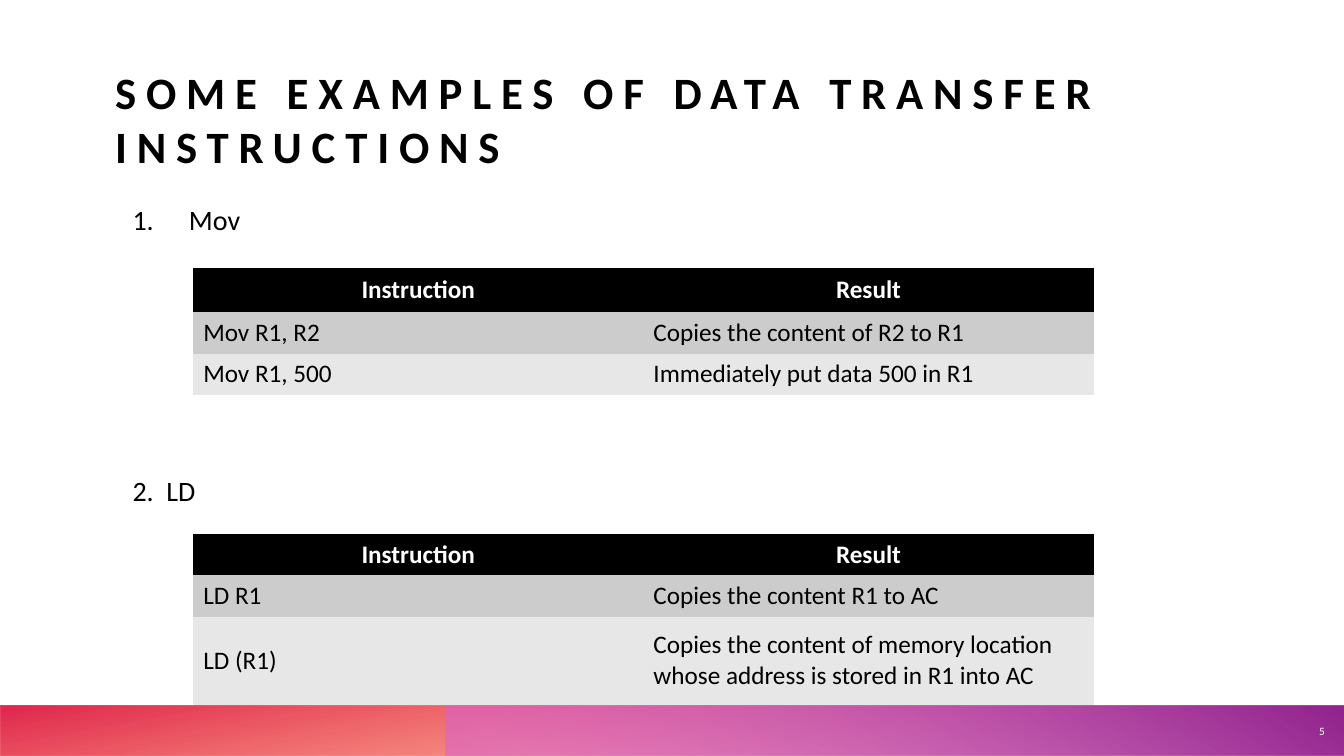
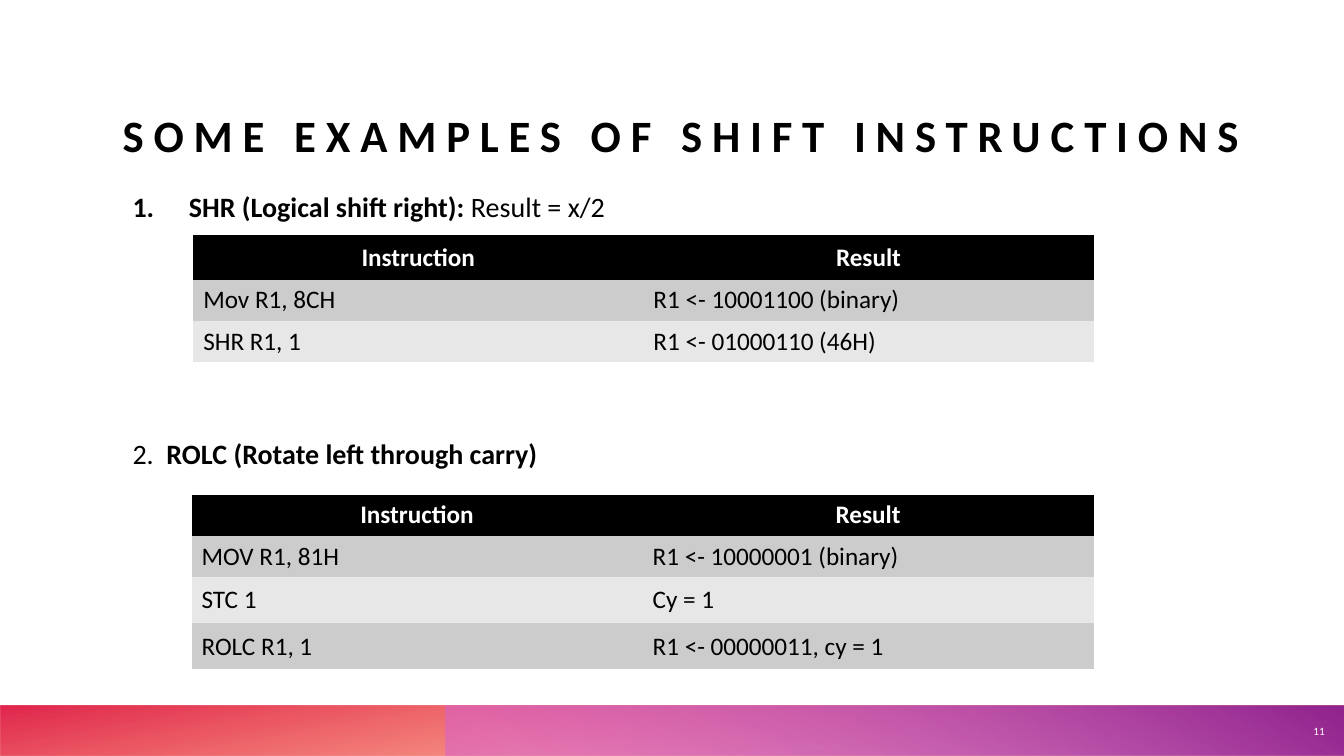
from dataclasses import dataclass

from lxml import etree
from pptx import Presentation
from pptx import util as u
from pptx.dml.color import RGBColor
from pptx.enum import shapes, text
from pptx.oxml import ns

COLUMNS, ROWS = 160, 90
MODULE = u.Inches(7.5) / ROWS
PLAIN_TABLE = "{2D5ABB26-0587-4C30-8999-92F81FD0307C}"


@dataclass(frozen=True)
class Theme:
    font: str = "Calibri"
    ink: str = "000000"
    paper: str = "FFFFFF"
    stripes: tuple = ("CCCCCC", "E7E7E7")
    title: int = 32
    heading: int = 20
    cell: int = 18
    number: int = 8
    tracking: int = 7
    red_band: tuple = ((14, "FE4A00", 28), (100, "DA002F", 85))
    violet_band: tuple = ((9, "D861D4", 55), (99, "92248E", 100))


THEME = Theme()


@dataclass(frozen=True)
class Box:
    column: float
    row: float
    columns: float
    rows: float

    def inside(self, column, row, columns, rows):
        return Box(self.column + column, self.row + row, columns, rows)

    def emu(self):
        return [round(n * MODULE) for n in (self.column, self.row, self.columns, self.rows)]


PAGE = Box(0, 0, COLUMNS, ROWS)
FOOTER = PAGE.inside(0, 84, COLUMNS, 6)


@dataclass(frozen=True)
class Section:
    box: Box
    heading: tuple
    table_offset: tuple
    table_columns: float
    row_heights: tuple
    cells: tuple
    numbered: bool = False


def add_span(para, words, size, color=THEME.ink, bold=False):
    span = para.add_run()
    span.text = words
    span.font.name = THEME.font
    span.font.size = u.Pt(size)
    span.font.bold = bold
    span.font.color.rgb = RGBColor.from_string(color)
    return span


def add_text_box(page, box):
    frame = page.shapes.add_textbox(*box.emu()).text_frame
    frame.word_wrap = True
    return frame


def add_band(page, box, stops, angle, rotation=0):
    band = page.shapes.add_shape(shapes.MSO_SHAPE.RECTANGLE, *box.emu())
    band.shadow.inherit = False
    band.line.fill.background()
    band.rotation = rotation
    band.element.spPr.find(ns.qn("a:xfrm")).set("flipH", "1")
    band.fill.gradient()
    band.fill.gradient_angle = 360 - angle
    for stop, (position, color, _) in zip(band.fill.gradient_stops, stops):
        stop.position = position / 100
        stop.color.rgb = RGBColor.from_string(color)
    for node, (_, _, opacity) in zip(band.element.spPr.iter(ns.qn("a:srgbClr")), stops):
        etree.SubElement(node, ns.qn("a:alpha"), val=str(opacity * 1000))


def add_footer(page, box, number):
    add_band(page, box, THEME.red_band, 100, rotation=180)
    add_band(page, box.inside(53, 0, COLUMNS - 53, box.rows), THEME.violet_band, 240)
    frame = add_text_box(page, box.inside(153.1, 0.1, 5.8, 5.9))
    frame.vertical_anchor = text.MSO_ANCHOR.MIDDLE
    para = frame.paragraphs[0]
    para.alignment = text.PP_ALIGN.RIGHT
    add_span(para, number, THEME.number, THEME.paper)


def set_title(page, box, words):
    title = page.shapes.title
    title.left, title.top, title.width, title.height = box.emu()
    frame = title.text_frame
    frame.word_wrap = True
    frame.auto_size = text.MSO_AUTO_SIZE.NONE
    frame.vertical_anchor = text.MSO_ANCHOR.BOTTOM
    frame.margin_left = frame.margin_top = frame.margin_right = frame.margin_bottom = 0
    para = frame.paragraphs[0]
    para.alignment = text.PP_ALIGN.LEFT
    span = add_span(para, words, THEME.title, bold=True)
    span.font.element.set("spc", str(THEME.tracking * 100)) if hasattr(span.font, "element") else \
        span._r.get_or_add_rPr().set("spc", str(THEME.tracking * 100))


def add_heading(page, box, spans, numbered):
    para = add_text_box(page, box).paragraphs[0]
    para.line_spacing = 1.2
    para.space_before = u.Pt(10)
    if numbered:
        properties = para._p.get_or_add_pPr()
        indent = u.Inches(0.56)
        properties.set("marL", str(indent))
        properties.set("indent", str(-indent))
        etree.SubElement(properties, ns.qn("a:buFont"), typeface="+mj-lt")
        etree.SubElement(properties, ns.qn("a:buAutoNum"), type="arabicPeriod")
    for words, bold in spans:
        add_span(para, words, THEME.heading, bold=bold)


def add_instruction_table(page, box, row_heights, cells):
    lines = (("Instruction", "Result"),) + cells
    frame = page.shapes.add_table(len(lines), 2, *box.emu())
    table = frame.table
    table.first_row = table.horz_banding = False
    frame.element.find(".//" + ns.qn("a:tableStyleId")).text = PLAIN_TABLE
    for column in table.columns:
        column.width = round(box.columns / 2 * MODULE)
    for index, (line, height) in enumerate(zip(lines, row_heights)):
        header = index == 0
        fill = THEME.ink if header else THEME.stripes[(index - 1) % 2]
        table.rows[index].height = round(height * MODULE)
        for cell, words in zip(table.rows[index].cells, line):
            cell.fill.solid()
            cell.fill.fore_color.rgb = RGBColor.from_string(fill)
            cell.vertical_anchor = text.MSO_ANCHOR.MIDDLE
            para = cell.text_frame.paragraphs[0]
            para.alignment = text.PP_ALIGN.CENTER if header else text.PP_ALIGN.LEFT
            add_span(para, words, THEME.cell, THEME.paper if header else THEME.ink, header)


def add_section(page, section):
    add_heading(page, section.box, section.heading, section.numbered)
    heights = section.row_heights
    table_box = section.box.inside(*section.table_offset, section.table_columns, sum(heights))
    add_instruction_table(page, table_box, heights, section.cells)


def add_example_page(deck, number, title_box, title, sections):
    page = deck.slides.add_slide(deck.slide_layouts.get_by_name("Title Only"))
    add_footer(page, FOOTER, number)
    set_title(page, title_box, title)
    for section in sections:
        add_section(page, section)


TRANSFER = (
    Section(
        PAGE.inside(14.6, 22.7, 133.6, 28.4), (("Mov", False),),
        (8.4, 9.2), 107.2, (5.3, 4.9, 4.9),
        (("Mov R1, R2", "Copies the content of R2 to R1"),
         ("Mov R1, 500", "Immediately put data 500 in R1")),
        numbered=True,
    ),
    Section(
        PAGE.inside(14.6, 55, 133.4, 33.4), (("2.  LD", False),),
        (8.4, 8.6), 107.2, (4.9, 4.9, 10.5),
        (("LD R1", "Copies the content R1 to AC"),
         ("LD (R1)", "Copies the content of memory location whose address is stored in R1 into AC")),
    ),
)

SHIFT = (
    Section(
        PAGE.inside(14.6, 21.2, 133.6, 28.4),
        (("SHR (Logical shift right):", True), (" Result = x/2", False)),
        (8.4, 6.8), 107.2, (5.3, 4.9, 4.9),
        (("Mov R1, 8CH", "R1 <- 10001100 (binary)"),
         ("SHR R1, 1", "R1 <- 01000110 (46H)")),
        numbered=True,
    ),
    Section(
        PAGE.inside(14.6, 50.6, 133.4, 33.4),
        (("2.  ", False), ("ROLC (Rotate left through carry)", True)),
        (8.2, 8.3), 107.4, (4.9, 4.9, 5.5, 5.5),
        (("MOV R1, 81H", "R1 <- 10000001 (binary)"),
         ("STC 1", "Cy = 1"),
         ("ROLC R1, 1", "R1 <- 00000011, cy = 1")),
    ),
)


def main():
    deck = Presentation()
    deck.slide_width = round(COLUMNS * MODULE)
    deck.slide_height = round(ROWS * MODULE)
    add_example_page(deck, "5", PAGE.inside(13.7, 4.3, 135.2, 16.2),
                     "SOME EXAMPLES OF DATA TRANSFER INSTRUCTIONS", TRANSFER)
    add_example_page(deck, "11", PAGE.inside(14.6, 3, 135.2, 16.2),
                     "SOME EXAMPLES OF SHIFT INSTRUCTIONS", SHIFT)
    deck.save("out.pptx")


if __name__ == "__main__":
    main()
